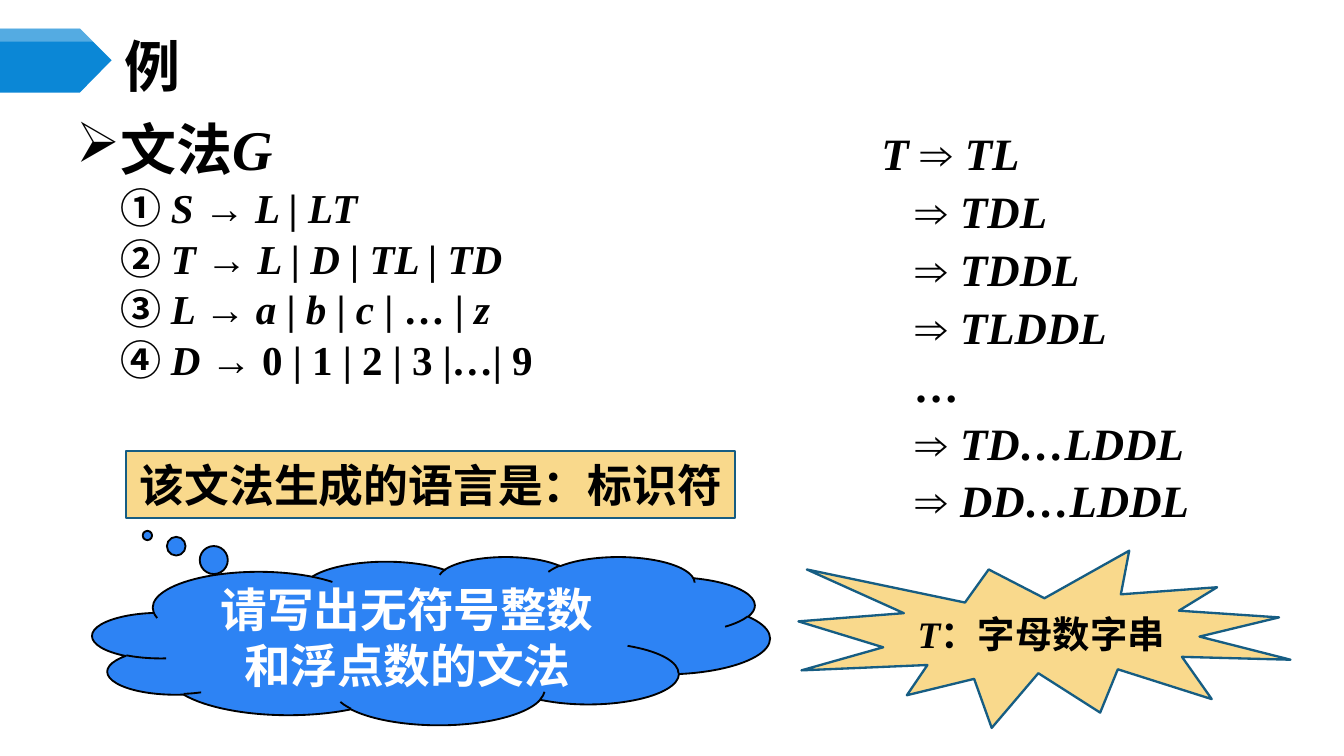
from lxml.etree import SubElement
from pptx import Presentation
from pptx.dml.color import RGBColor
from pptx.enum.shapes import MSO_SHAPE
from pptx.enum.text import MSO_ANCHOR, PP_ALIGN
from pptx.oxml.ns import qn
from pptx.util import Cm, Pt

SERIF, HAN, SANS = "Times New Roman", "Noto Sans CJK SC", "Arial"
FACES = {"italic": (SERIF, True), "upright": (SERIF, False), "han": (HAN, False), "arrow": (SANS, False)}


def color(value):
    return RGBColor.from_string(value)


class Slide:
    """Draws styled elements on one slide."""

    def __init__(self, deck):
        self.page = deck.slides.add_slide(deck.slide_layouts[6])
        self.ink, self.edge, self.sand = "000000", "165D83", "F9D98C"

    def place(self, left, top, width, height):
        return Cm(left), Cm(top), Cm(width), Cm(height)

    def para(self, frame, runs, size, ink=None, first=False, align=PP_ALIGN.LEFT,
             left=0, hanging=0, bullet=None, before=0, spacing=None):
        para = frame.paragraphs[0] if first else frame.add_paragraph()
        props = para._p.get_or_add_pPr()
        props.set("marL", str(Cm(left)))
        props.set("indent", str(-Cm(hanging)))
        if bullet:
            tint = SubElement(props, qn("a:buClr"))
            SubElement(tint, qn("a:srgbClr"), val=self.ink)
            SubElement(props, qn("a:buChar"), char=bullet)
        para.alignment = align
        para.space_before = Pt(0 if first else before)
        if spacing:
            para.line_spacing = spacing
        for text, face in runs:
            span = para.add_run()
            span.text = text
            font = span.font
            font.name, font.italic = FACES[face]
            font.size, font.bold = Pt(size), True
            font.color.rgb = color(ink or self.ink)
            SubElement(span._r.get_or_add_rPr(), qn("a:ea"), typeface=HAN)

    def text(self, place, anchor=MSO_ANCHOR.TOP, wrap=True):
        frame = self.page.shapes.add_textbox(*self.place(*place)).text_frame
        frame.word_wrap, frame.vertical_anchor = wrap, anchor
        return frame

    def shape(self, kind, place, runs, size, fill=None, edge=None, weight=1.0, ink=None,
              adjustments=(), align=PP_ALIGN.CENTER, anchor=MSO_ANCHOR.MIDDLE, wrap=True):
        shape = self.page.shapes.add_shape(kind, *self.place(*place))
        shape.shadow.inherit = False
        for index, value in enumerate(adjustments):
            shape.adjustments[index] = value
        shape.fill.solid()
        shape.fill.fore_color.rgb = color(fill or self.sand)
        shape.line.color.rgb = color(edge or self.edge)
        shape.line.width = Pt(weight)
        frame = shape.text_frame
        frame.word_wrap, frame.vertical_anchor = wrap, anchor
        self.para(frame, runs, size, ink, first=True, align=align)

    def outline(self, group, points, fill, opacity=None):
        points = [(Cm(x), Cm(y)) for x, y in points]
        builder = group.shapes.build_freeform(*points[0])
        builder.add_line_segments(points[1:], close=True)
        shape = builder.convert_to_shape()
        shape.shadow.inherit = False
        shape.fill.solid()
        shape.fill.fore_color.rgb = color(fill)
        shape.line.fill.background()
        if opacity:
            tint = shape.fill._xPr.find(qn("a:solidFill"))[0]
            SubElement(tint, qn("a:alpha"), val=str(opacity * 1000))


def main():
    deck = Presentation()
    deck.slide_width, deck.slide_height = Cm(25.4), Cm(14.29)
    slide = Slide(deck)

    grammar = slide.text((1.19, 2.18, 16.46, 6.2))
    slide.para(grammar, [("文法", "upright"), ("G", "italic")], 30, first=True,
               left=0.76, hanging=0.76, bullet="➢", spacing=0.9)
    rules = [
        [("① ", "han"), ("S → L | LT", "italic")],
        [("② ", "han"), ("T → L | D | TL | TD", "italic")],
        [("③ ", "han"), ("L → a", "italic"), (" | ", "upright"), ("b ", "italic"), ("| ", "upright"),
         ("c", "italic"), (" | … | ", "upright"), ("z", "italic")],
        [("④ ", "han"), ("D → ", "italic"), ("0 | 1 | 2 | 3 |…| 9", "upright")],
    ]
    for rule in rules:
        slide.para(grammar, rule, 22, left=0.84, before=3.3, spacing=0.9)

    title = slide.text((2.11, 0.74, 22.02, 0.99), MSO_ANCHOR.MIDDLE)
    slide.para(title, [("例", "han")], 30, first=True)

    slide.shape(MSO_SHAPE.CLOUD_CALLOUT, (1.75, 10.52, 12.8, 3.18),
                [("请写出无符号整数和浮点数的文法", "han")], 25,
                fill="2D83F4", edge="000000", ink="FFFFFF", adjustments=(-0.419, -0.625))

    banner = slide.page.shapes.add_group_shape()
    slide.outline(banner, [(0, 0.54), (1.51, 0.54), (2.11, 1.14), (1.51, 1.75), (0, 1.75)], "0B87D6")
    slide.outline(banner, [(0, 0.54), (1.51, 0.54), (1.76, 0.79), (0, 0.79)], "FFFFFF", opacity=30)

    derivation = slide.text((16.41, 2.39, 6.35, 7.7), wrap=False)
    slide.para(derivation, [("T ", "italic"), ("⇒ ", "arrow"), ("TL", "italic")], 24,
               first=True, spacing=Pt(25))
    for form in ("TDL", "TDDL", "TLDDL", "…", "TD…LDDL", "DD…LDDL"):
        runs = [(form, "italic")] if form == "…" else [("⇒ ", "arrow"), (form, "italic")]
        slide.para(derivation, runs, 24, left=0.64, before=6, spacing=Pt(25))

    slide.shape(MSO_SHAPE.EXPLOSION1, (15.09, 10.41, 9.3, 3.35),
                [("T", "italic"), ("：字母数字串", "han")], 20, weight=1.25)
    slide.shape(MSO_SHAPE.RECTANGLE, (2.39, 8.53, 11.51, 1.27),
                [("该文法生成的语言是：标识符", "han")], 24,
                align=PP_ALIGN.LEFT, anchor=MSO_ANCHOR.TOP, wrap=False)

    deck.save("out.pptx")


if __name__ == "__main__":
    main()
